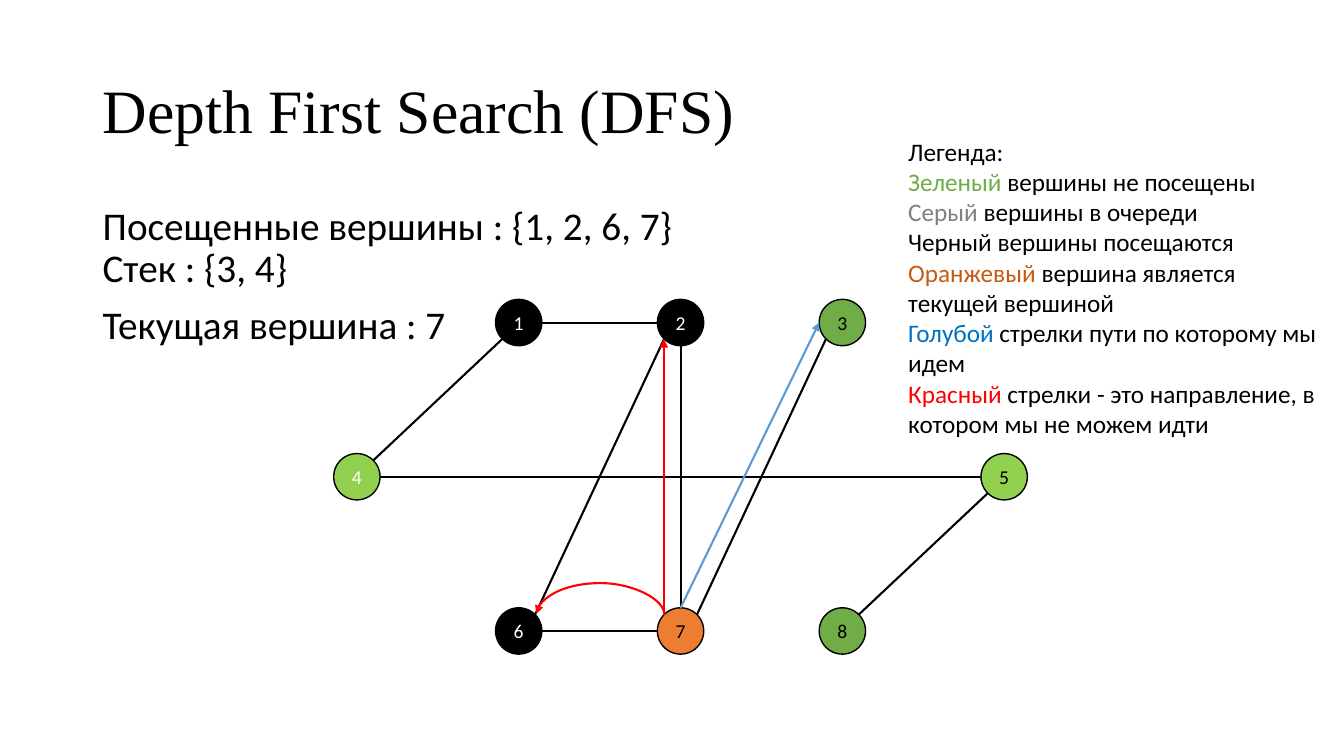
from math import sqrt

from lxml import etree
from pptx import Presentation
from pptx.dml.color import RGBColor
from pptx.enum.shapes import MSO_CONNECTOR, MSO_SHAPE
from pptx.enum.text import MSO_ANCHOR, MSO_AUTO_SIZE, PP_ALIGN
from pptx.oxml.ns import qn
from pptx.util import Inches, Pt

STRAIGHT, CURVE = MSO_CONNECTOR.STRAIGHT, MSO_CONNECTOR.CURVE
OVAL = MSO_SHAPE.OVAL
MIDDLE = MSO_ANCHOR.MIDDLE
CENTER = PP_ALIGN.CENTER
GROW = MSO_AUTO_SIZE.SHAPE_TO_FIT_TEXT

THEME = {
    "black": "000000", "white": "FFFFFF", "lime": "92D050", "green": "70AD47",
    "orange": "ED7D31", "rust": "C55A11", "gray": "808080", "red": "FF0000",
    "blue": "0070C0", "sky": "5B9BD5",
    "title_font": "Times New Roman", "body_font": "Calibri",
    "title": Pt(44), "body": Pt(28), "legend": Pt(18), "node": Pt(14),
    "outline": Pt(1), "edge": Pt(1.5),
}


def style_run(r, size, color="black", font="body_font"):
    r.font.size = THEME[size]
    r.font.name = THEME[font]
    r.font.color.rgb = RGBColor.from_string(THEME[color])


def style_line(line, color, arrow=False):
    line.line.color.rgb = RGBColor.from_string(THEME[color])
    line.line.width = THEME["edge"]
    sp_pr = line._element.spPr
    if arrow:
        etree.SubElement(sp_pr.find(qn("a:ln")), qn("a:tailEnd"), type="triangle")
    etree.SubElement(sp_pr, qn("a:effectLst"))


prs = Presentation()
prs.slide_width, prs.slide_height = Inches(13.33), Inches(7.5)
s = prs.slides.add_slide(prs.slide_layouts[6])

# Title
tf = s.shapes.add_textbox(Inches(0.92), Inches(0.4), Inches(11.5), Inches(1.45)).text_frame
tf.word_wrap = True
tf.vertical_anchor = MIDDLE
p = tf.paragraphs[0]
p.text = "Depth First Search (DFS)"
p.line_spacing = 0.9
style_run(p.runs[0], "title", font="title_font")

# Search state
tf = s.shapes.add_textbox(Inches(0.92), Inches(2), Inches(11.5), Inches(4.76)).text_frame
tf.word_wrap = True
tf.text = "Посещенные вершины : {1, 2, 6, 7}\vСтек : {3, 4}\nТекущая вершина : 7"
for p in tf.paragraphs:
    p.line_spacing = 0.9
    p.space_before = Pt(10)
    for r in p.runs:
        style_run(r, "body")

# Vertices on a grid: label, column, row, fill, text colour
LEFT, TOP, COL_STEP, ROW_STEP, SIZE = 3.31, 2.97, 1.605, 1.53, 0.46
VERTICES = [
    ("1", 1, 0, "black", "white"), ("2", 2, 0, "black", "white"),
    ("4", 0, 1, "lime", "white"), ("6", 1, 2, "black", "white"),
    ("7", 2, 2, "orange", "black"), ("8", 3, 2, "green", "black"),
    ("5", 4, 1, "lime", "black"), ("3", 3, 0, "green", "black"),
]
centers = {}
for label, col, row, fill, color in VERTICES:
    x, y = LEFT + col * COL_STEP, TOP + row * ROW_STEP
    centers[label] = (x + SIZE / 2, y + SIZE / 2)
    sp = s.shapes.add_shape(OVAL, Inches(x), Inches(y), Inches(SIZE), Inches(SIZE))
    sp.shadow.inherit = False
    sp.fill.solid()
    sp.fill.fore_color.rgb = RGBColor.from_string(THEME[fill])
    sp.line.color.rgb = RGBColor.from_string(THEME["black"])
    sp.line.width = THEME["outline"]
    tf = sp.text_frame
    tf.margin_left = tf.margin_right = tf.margin_top = tf.margin_bottom = 0
    tf.vertical_anchor = MIDDLE
    p = tf.paragraphs[0]
    p.text = label
    p.alignment = CENTER
    style_run(p.runs[0], "node", color)

# Straight edges: vertex and compass direction at each end
DIRECTIONS = {"n": (0, -1), "s": (0, 1), "w": (-1, 0), "e": (1, 0),
              "nw": (-1, -1), "ne": (1, -1), "sw": (-1, 1), "se": (1, 1)}
EDGES = [
    ("4", "ne", "1", "sw", "black"), ("4", "e", "5", "w", "black"),
    ("1", "e", "2", "w", "black"), ("2", "s", "7", "n", "black"),
    ("2", "sw", "6", "ne", "black"), ("6", "e", "7", "w", "black"),
    ("7", "ne", "3", "sw", "black"), ("5", "sw", "8", "ne", "black"),
    ("7", "n", "3", "w", "sky"),
]
for start, start_side, end, end_side, color in EDGES:
    ends = []
    for label, side in ((start, start_side), (end, end_side)):
        dx, dy = DIRECTIONS[side]
        reach = SIZE / 2 / sqrt(dx * dx + dy * dy)
        cx, cy = centers[label]
        ends += [Inches(cx + dx * reach), Inches(cy + dy * reach)]
    line = s.shapes.add_connector(STRAIGHT, *ends)
    style_line(line, color, arrow=color == "sky")

# Forbidden moves, turned upright: left, top, width, height, bend
for left, top, width, height, bend in [(5.95, 5.46, 0.01, 1.27, 3200000),
                                       (5.22, 4.73, 2.73, 0, 50000)]:
    line = s.shapes.add_connector(CURVE, Inches(left), Inches(top + height),
                                  Inches(left + width), Inches(top))
    sp_pr = line._element.spPr
    sp_pr.find(qn("a:xfrm")).set("rot", str(270 * 60000))
    guides = sp_pr.find(qn("a:prstGeom")).find(qn("a:avLst"))
    etree.SubElement(guides, qn("a:gd"), name="adj1", fmla=f"val {bend}")
    style_line(line, "red", arrow=True)

# Legend
LEGEND = [
    [("Легенда:", "black")],
    [("Зеленый ", "green"), ("вершины не посещены", "black")],
    [("Серый ", "gray"), ("вершины в очереди", "black")],
    [("Черный вершины посещаются", "black")],
    [("Оранжевый ", "rust"), ("вершина является текущей вершиной", "black")],
    [("Голубой ", "blue"), ("стрелки пути по которому мы идем", "black")],
    [("Красный ", "red"),
     ("стрелки - это направление, в котором мы не можем идти", "black")],
]
tf = s.shapes.add_textbox(Inches(8.91), Inches(1.3), Inches(4.27), Inches(3.13)).text_frame
tf.word_wrap = True
tf.auto_size = GROW
for i, entry in enumerate(LEGEND):
    p = tf.add_paragraph() if i else tf.paragraphs[0]
    for text, color in entry:
        r = p.add_run()
        r.text = text
        style_run(r, "legend", color)

prs.save("out.pptx")
